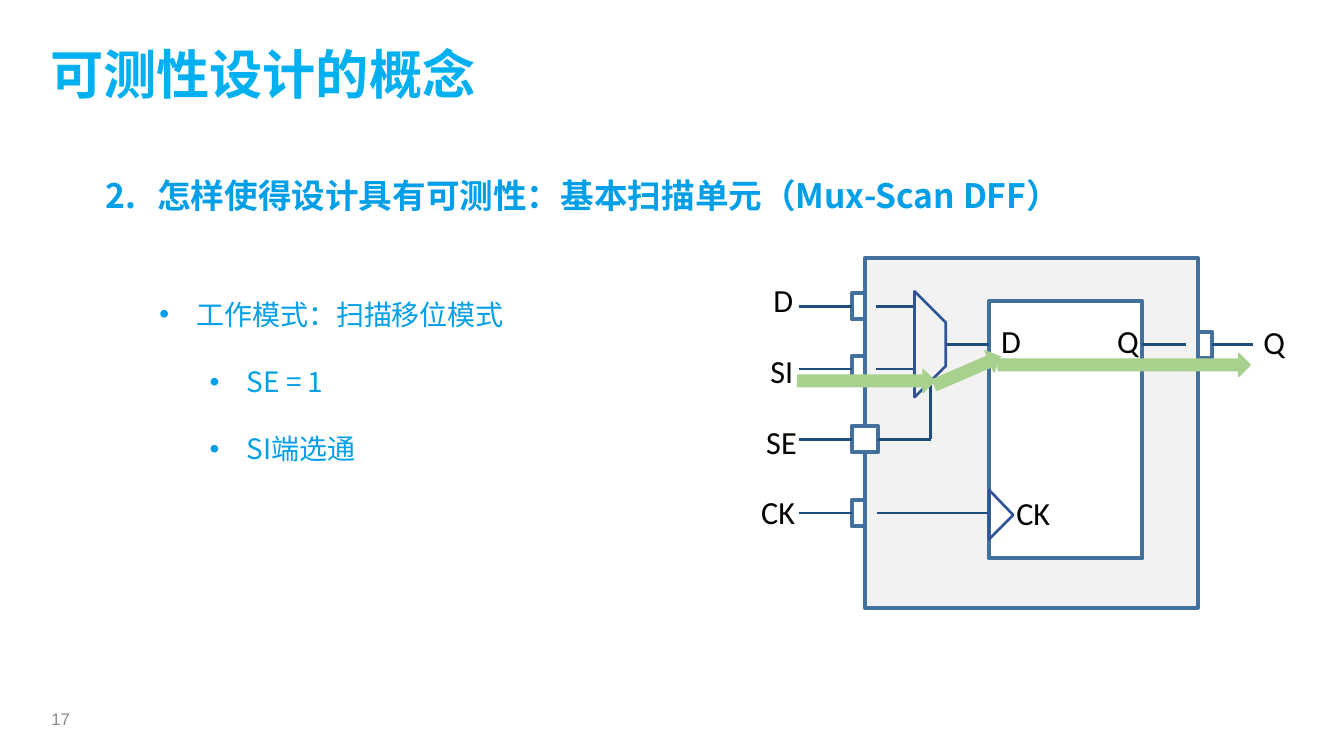
"""Build the slide on the scan shift mode of a Mux-Scan DFF cell."""
import math
from dataclasses import dataclass

from lxml import etree
from pptx import Presentation
from pptx import util as u
from pptx.dml.color import RGBColor
from pptx.enum import shapes, text
from pptx.oxml import ns

TITLE = "可测性设计的概念"
HEAD = "2.\t怎样使得设计具有可测性：基本扫描单元（Mux-Scan DFF）"
ITEMS = [("工作模式：扫描移位模式", 0), ("SE = 1", 1), ("SI端选通", 1)]
PAGE = "17"

LABELS = [
    ("D", 7.67, 2.77), ("SI", 7.64, 3.48), ("SE", 7.6, 4.18), ("CK", 7.55, 4.87),
    ("Q", 12.53, 3.19), ("D", 9.93, 3.18), ("Q", 11.08, 3.18), ("CK", 10.08, 4.88),
]
PIN = 0.26
LEFT, RIGHT = 8.45, 11.76
ROWS = {"D": 3.04, "SI": 3.66, "SE": 4.36, "CK": 5.09}
OUT = 3.42
CELL = (8.58, 2.56, 3.3, 3.47)
FLOP = (9.81, 2.99, 1.52, 2.55)
MUX = [(9.07, 2.89), (9.07, 3.94), (9.38, 3.63), (9.38, 3.2)]
CLOCK = [(9.81, 4.86), (10.05, 5.11), (9.81, 5.35)]
WIRES = [
    ((8.69, ROWS["D"]), (9.08, ROWS["D"])),
    ((8.69, ROWS["SI"]), (9.08, ROWS["SI"])),
    ((8.7, ROWS["CK"]), (9.81, ROWS["CK"])),
    ((9.38, OUT), (9.81, OUT)),
    ((11.33, OUT), (11.76, OUT)),
    ((9.23, ROWS["SE"]), (9.23, 3.79)),
]
ROUTE = [
    ((7.91, 3.78), (9.27, 3.78)),
    ((9.27, 3.82), (9.92, 3.54)),
    ((9.9, 3.62), (12.4, 3.62)),
]
BAND = 0.23


@dataclass(frozen=True)
class Theme:
    """Colours, fonts, type sizes and line widths."""
    title: str = "00B0F0"
    body: str = "009FE8"
    ink: str = "000000"
    grey: str = "898989"
    edge: str = "41719C"
    wire: str = "1E4E79"
    gate: str = "305497"
    cell: str = "F2F2F2"
    white: str = "FFFFFF"
    route: str = "A9D18E"
    cjk: str = "Noto Sans CJK SC"
    latin: str = "Calibri"
    plain: str = "Arial"
    big: int = 38
    head: int = 24
    item: int = 20
    label: int = 23
    small: int = 12
    thick: float = 2.86
    thin: float = 1.9


T = Theme()


def tint(name):
    """Return the colour for a hex name."""
    return RGBColor.from_string(name)


def place(box):
    """Turn four numbers into lengths."""
    return [u.Inches(v) for v in box]


def node(parent, tag, **attrs):
    """Add a drawing element."""
    return etree.SubElement(parent, ns.qn(tag), attrs)


def frame(shape, wrap):
    """Set the margins and anchor of a text shape."""
    body = shape.text_frame
    body.word_wrap = wrap
    body.auto_size = text.MSO_AUTO_SIZE.NONE
    body.vertical_anchor = text.MSO_ANCHOR.TOP
    body.margin_left = body.margin_right = body.margin_bottom = 0
    body.margin_top = u.Inches(0.01)
    return body


def write(para, words, size, color, font=T.cjk, bold=False, gap=0,
          hang=None, mark=False, space=0):
    """Write formatted words into a paragraph."""
    para.alignment = text.PP_ALIGN.LEFT
    props = para._p.get_or_add_pPr()
    if hang is not None:
        stop = str(u.Inches(hang))
        if mark:
            props.set("marL", stop)
            props.set("indent", str(u.Inches(-0.37)))
            node(props, "a:buFont", typeface=T.plain)
            node(props, "a:buChar", char="•")
        node(node(props, "a:tabLst"), "a:tab", pos=stop, algn="l")
    para.space_before = u.Pt(gap)
    run = para.add_run()
    run.text = words
    run.font.size, run.font.bold, run.font.name = u.Pt(size), bold, font
    run.font.color.rgb = tint(color)
    node(run._r.get_or_add_rPr(), "a:ea", typeface=font)
    run._r.get_or_add_rPr().set("spc", str(int(space * 100)))


def label(slide, words, box, wrap=False, **style):
    """Add a text box with one paragraph."""
    shape = slide.shapes.add_textbox(*place(box))
    write(frame(shape, wrap).paragraphs[0], words, **style)


def paint(shape, line, fill=None, width=T.thick):
    """Set the line and fill of a shape."""
    shape.shadow.inherit = False
    shape.line.color.rgb = tint(line)
    shape.line.width = u.Pt(width)
    if fill:
        shape.fill.solid()
        shape.fill.fore_color.rgb = tint(fill)
    else:
        shape.fill.background()
    return shape


def block(slide, box, fill=T.white):
    """Add an outlined rectangle."""
    kind = shapes.MSO_SHAPE.RECTANGLE
    return paint(slide.shapes.add_shape(kind, *place(box)), T.edge, fill)


def gate(slide, points):
    """Add a closed outline."""
    points = [place(p) for p in points]
    pen = slide.shapes.build_freeform(*points[0], scale=1.0)
    pen.add_line_segments(points[1:], close=True)
    paint(pen.convert_to_shape(), T.gate, width=T.thin)


def wire(slide, start, end):
    """Add a straight wire."""
    line = slide.shapes.add_connector(
        shapes.MSO_CONNECTOR.STRAIGHT, *place(start + end))
    line.line.color.rgb = tint(T.wire)
    line.line.width = u.Pt(T.thin)
    node(line._element.spPr, "a:effectLst")
    return line


def arrow(slide, start, end):
    """Add a block arrow between two points."""
    dx, dy = end[0] - start[0], end[1] - start[1]
    span = math.hypot(dx, dy)
    box = ((start[0] + end[0] - span) / 2, (start[1] + end[1] - BAND) / 2, span, BAND)
    shape = slide.shapes.add_shape(shapes.MSO_SHAPE.RIGHT_ARROW, *place(box))
    shape.rotation = math.degrees(math.atan2(dy, dx))
    paint(shape, T.route, T.route, 1)


def draw(slide):
    """Draw the scan cell and its shift route."""
    pins = {n: block(slide, (LEFT, y - PIN / 2, PIN, PIN))
            for n, y in ROWS.items() if n != "SE"}
    out = block(slide, (RIGHT, OUT - PIN / 2, PIN, PIN))
    block(slide, CELL, T.cell)
    block(slide, FLOP)
    pins["SE"] = block(slide, (LEFT, ROWS["SE"] - PIN / 2, PIN, PIN))
    for name, y in ROWS.items():
        wire(slide, (7.92, y), (LEFT, y)).end_connect(pins[name], 1)
    wire(slide, (RIGHT + PIN, OUT), (12.43, OUT)).begin_connect(out, 3)
    y = ROWS["SE"]
    wire(slide, (LEFT + PIN, y), (9.23, y)).begin_connect(pins["SE"], 3)
    for ends in WIRES:
        wire(slide, *ends)
    gate(slide, MUX)
    gate(slide, CLOCK)
    for words, x, top in LABELS:
        label(slide, words, (x, top, 0.4, 0.41), size=T.label, color=T.ink, font=T.latin)
    for ends in ROUTE:
        arrow(slide, *ends)


def main():
    """Build and save the slide."""
    deck = Presentation()
    deck.slide_width, deck.slide_height = place((13.33, 7.5))
    slide = deck.slides.add_slide(deck.slide_layouts[5])
    title = slide.shapes.title
    title.left, title.top, title.width, title.height = place((0.5, 0.4, 4.25, 0.66))
    write(frame(title, False).paragraphs[0], TITLE, T.big, T.title, bold=True, space=-0.1)
    draw(slide)
    body = frame(slide.shapes.add_textbox(*place((1.56, 2.94, 3.46, 1.69))), True)
    for i, (words, depth) in enumerate(ITEMS):
        para = body.add_paragraph() if i else body.paragraphs[0]
        para.level = depth
        write(para, words, T.item, T.body, gap=24 if i else 0,
              hang=0.39 + depth / 2, mark=True, space=-0.1)
    label(slide, HEAD, (1.05, 1.73, 9.61, 0.43), wrap=True, size=T.head,
          color=T.body, bold=True, hang=0.51)
    label(slide, PAGE, (0.51, 7.02, 0.24, 0.25), size=T.small, color=T.grey, font=T.plain)
    deck.save("out.pptx")


if __name__ == "__main__":
    main()
